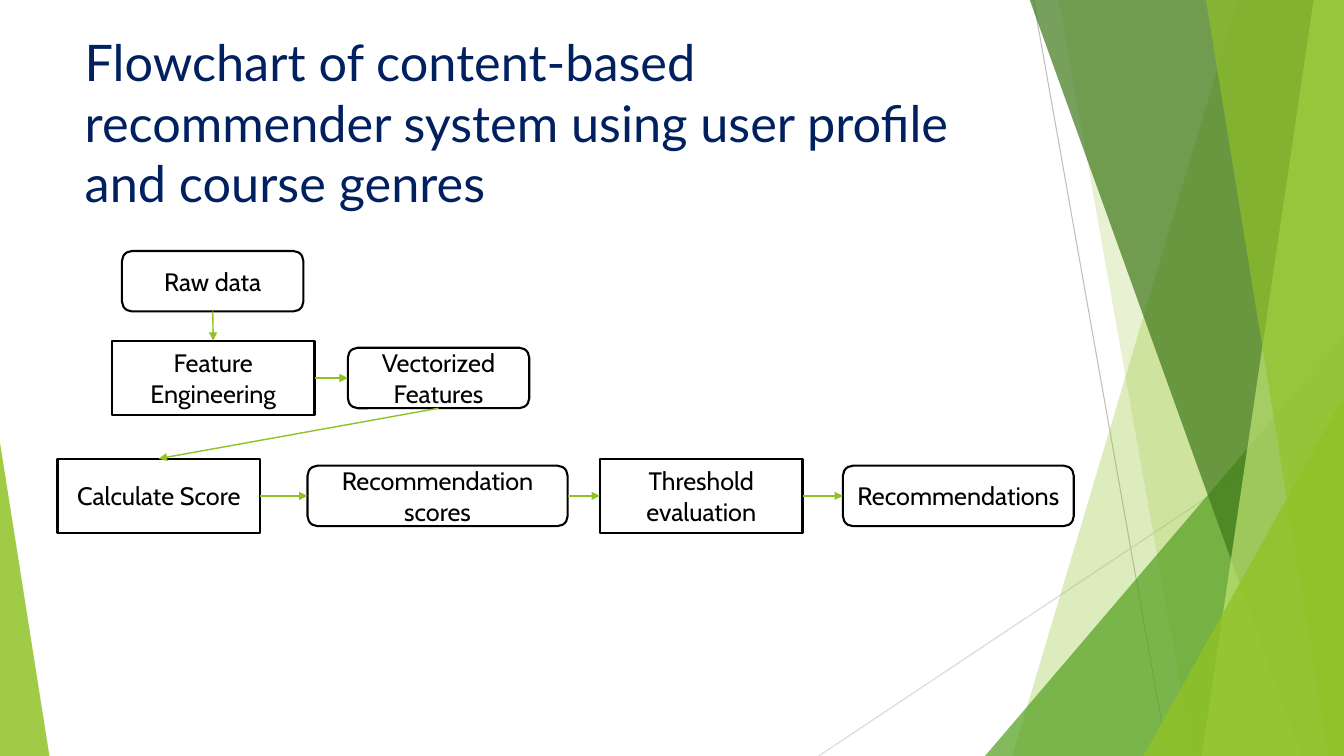
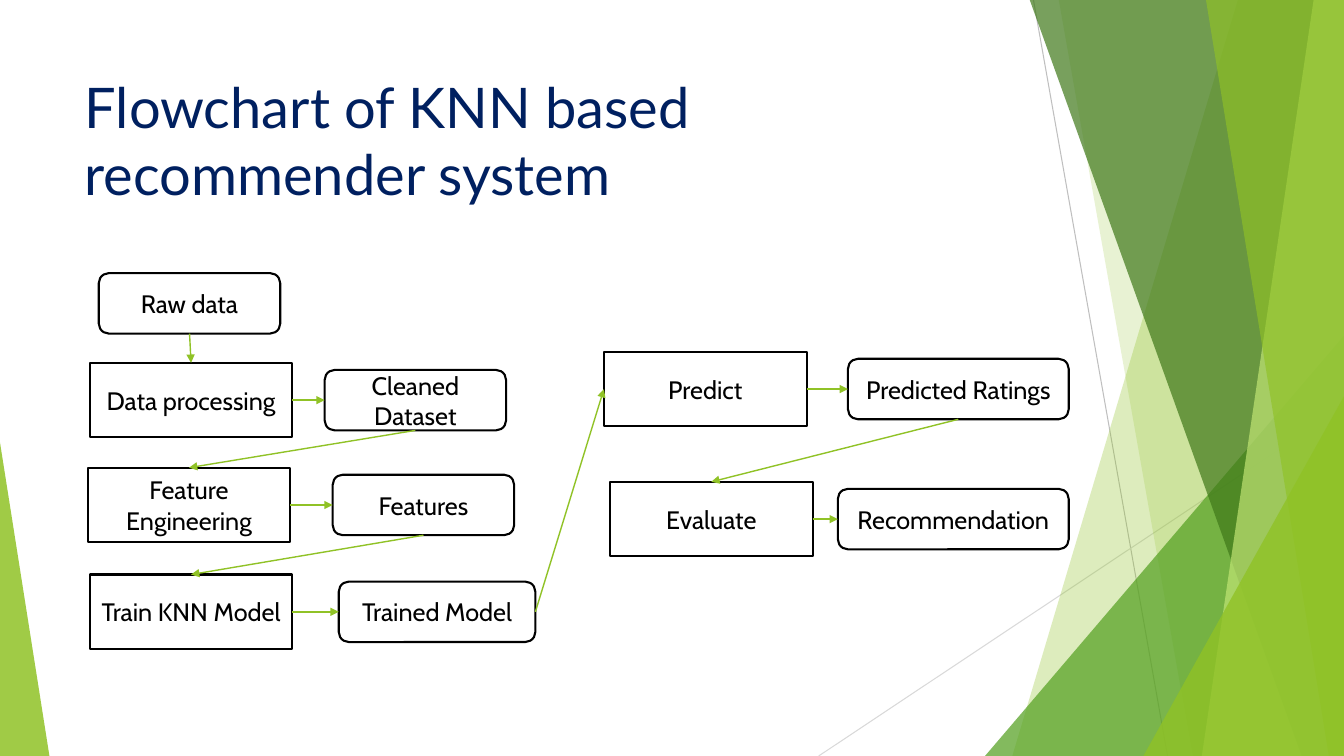
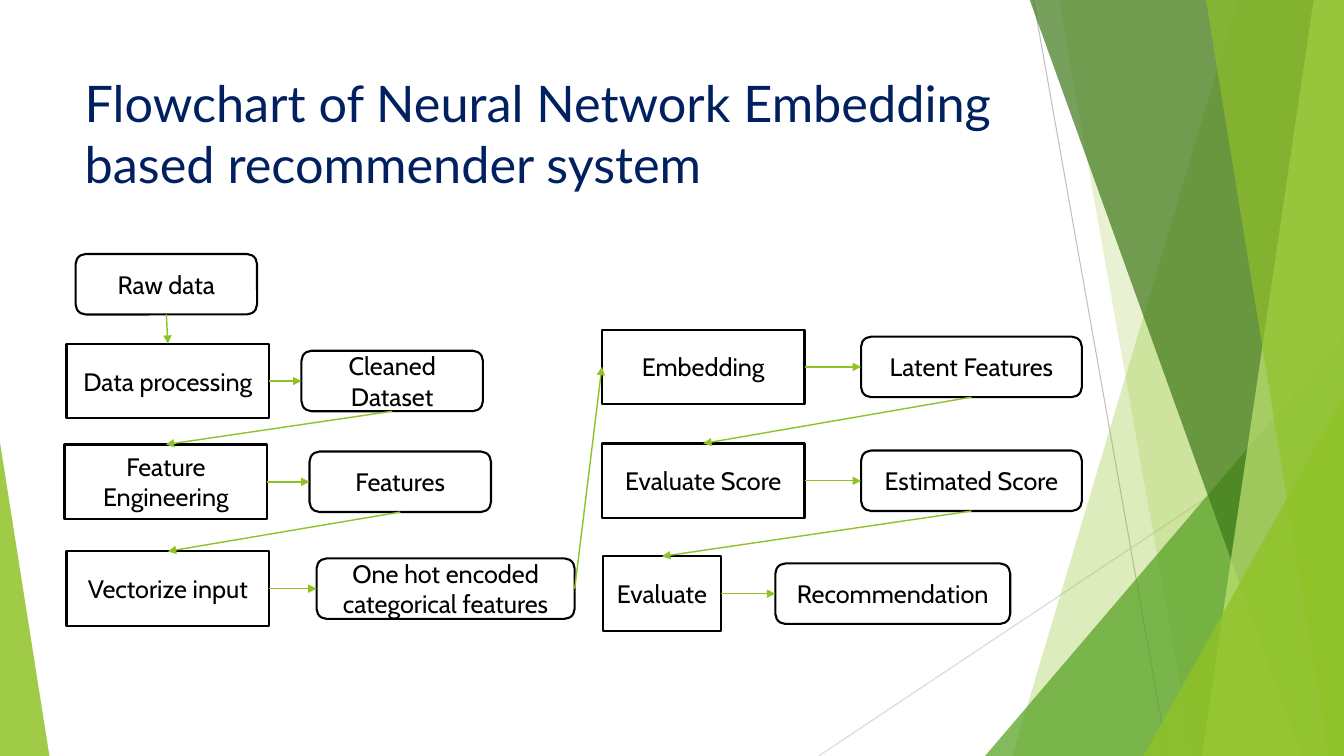
import lxml.etree
import pptx
import pptx.dml.color
import pptx.enum.shapes
import pptx.enum.text
import pptx.oxml.ns
import pptx.util

Inches = pptx.util.Inches
Pt = pptx.util.Pt
qn = pptx.oxml.ns.qn
MSO_SHAPE = pptx.enum.shapes.MSO_SHAPE

COLORS = {
    "title": "002060",
    "ink": "000000",
    "paper": "FFFFFF",
    "lime": "90C226",
    "pale": "C0E474",
    "leaf": "54A021",
    "forest": "3F7819",
    "gray": "BFBFBF",
    "light_gray": "D9D9D9",
}
SLIDE_W, SLIDE_H = 13.33, 7.5
STEP_W, STEP_H = 2.01, 0.74
DATA_W, DATA_H = 1.8, 0.6
TOP, LEFT, BOTTOM, RIGHT = range(4)


def rgb(name):
    """Return the palette colour with this name."""
    return pptx.dml.color.RGBColor.from_string(COLORS[name])


def add_line(slide, start, end, color, width):
    """Draw a straight line without a shadow between two points in inches."""
    line = slide.shapes.add_connector(
        pptx.enum.shapes.MSO_CONNECTOR.STRAIGHT, *map(Inches, start + end))
    line.line.color.rgb = rgb(color)
    line.line.width = Pt(width)
    lxml.etree.SubElement(line.element.spPr, qn("a:effectLst"))
    return line


def tint(sp, color, opacity):
    """Give a shape a see-through fill and no outline."""
    sp.shadow.inherit = False
    sp.line.fill.background()
    sp.fill.solid()
    sp.fill.fore_color.rgb = rgb(color)
    clr = sp.element.spPr.find(".//" + qn("a:srgbClr"))
    lxml.etree.SubElement(clr, qn("a:alpha")).set("val", str(opacity * 1000))


def add_band(slide, top_x, bottom_x, color, opacity):
    """Draw a full-height band from a slanted edge to the right of the slide."""
    points = [(SLIDE_W, -0.01), (SLIDE_W, SLIDE_H), (bottom_x, SLIDE_H)]
    builder = slide.shapes.build_freeform(Inches(top_x), Inches(-0.01))
    builder.add_line_segments([tuple(map(Inches, pt)) for pt in points])
    tint(builder.convert_to_shape(), color, opacity)


def add_wedge(slide, left, width, height, apex, color, opacity):
    """Draw a right triangle that stands on the bottom edge of the slide."""
    sp = slide.shapes.add_shape(
        MSO_SHAPE.ISOSCELES_TRIANGLE, Inches(left), Inches(SLIDE_H - height),
        Inches(width), Inches(height))
    sp.adjustments[0] = apex
    tint(sp, color, opacity)


def build_backdrop(prs, layout):
    """Draw the green facets and move them behind the layout's placeholders."""
    slide = prs.slides[0]
    kept = len(slide.shapes)
    add_line(slide, (10.25, 0), (11.58, SLIDE_H), "gray", 0.75)
    add_line(slide, (SLIDE_W, 4.03), (8.12, SLIDE_H), "light_gray", 0.75)
    add_band(slide, 12.28, 10.04, "lime", 30)
    add_band(slide, 10.5, 11.83, "lime", 20)
    add_wedge(slide, 9.77, 3.56, 4.17, 1, "leaf", 72)
    add_band(slide, 10.21, 12.91, "forest", 70)
    add_band(slide, 13.03, 11.92, "pale", 70)
    add_band(slide, 11.96, 13.18, "lime", 65)
    add_wedge(slide, 11.34, 1.99, 3.57, 1, "lime", 80)
    add_wedge(slide, 0, 0.49, 3.11, 0, "lime", 85)
    for i, sp in enumerate(list(slide.shapes)[kept:]):
        sp.element.xpath("./*/p:cNvPr")[0].set("id", str(100 + i))
        layout.shapes.element.insert(2 + i, sp.element)


def set_title(slide, text, top, size):
    """Place and format the slide title."""
    title = slide.shapes.title
    title.left, title.top = Inches(0.74), Inches(top)
    title.width, title.height = Inches(9.4), Inches(1.44)
    tf = title.text_frame
    tf.text = text
    tf.word_wrap = True
    tf.auto_size = pptx.enum.text.MSO_AUTO_SIZE.NONE
    tf.vertical_anchor = pptx.enum.text.MSO_ANCHOR.TOP
    p = tf.paragraphs[0]
    p.alignment = pptx.enum.text.PP_ALIGN.LEFT
    p.font.name = "Lato"
    p.font.size = Pt(size)
    p.font.color.rgb = rgb("title")


def step(text, left, width=STEP_W):
    """Describe a process step."""
    return MSO_SHAPE.RECTANGLE, text, left, width, STEP_H


def data(text, left, width=DATA_W):
    """Describe a data item."""
    return MSO_SHAPE.ROUNDED_RECTANGLE, text, left, width, DATA_H


def add_node(slide, kind, text, left, middle, width, height):
    """Draw one outlined flowchart node centred on its row."""
    sp = slide.shapes.add_shape(
        kind, Inches(left), Inches(middle - height / 2), Inches(width), Inches(height))
    sp.shadow.inherit = False
    if kind == MSO_SHAPE.RECTANGLE:
        sp.fill.solid()
        sp.fill.fore_color.rgb = rgb("paper")
    else:
        sp.fill.background()
    sp.line.color.rgb = rgb("ink")
    sp.line.width = Pt(1.5)
    tf = sp.text_frame
    tf.text = text
    tf.word_wrap = True
    tf.vertical_anchor = pptx.enum.text.MSO_ANCHOR.MIDDLE
    p = tf.paragraphs[0]
    p.alignment = pptx.enum.text.PP_ALIGN.CENTER
    p.font.name = "Cabin"
    p.font.size = Pt(18)
    p.font.color.rgb = rgb("ink")
    return sp


def add_arrow(slide, source, target):
    """Link two nodes sideways when the target lies to the right, else downwards."""
    sideways = target.left >= source.left + source.width
    line = add_line(slide, (0, 0), (0, 0), "lime", 1)
    line.begin_connect(source, RIGHT if sideways else BOTTOM)
    line.end_connect(target, LEFT if sideways else TOP)
    ln = line.element.spPr.find(qn("a:ln"))
    lxml.etree.SubElement(ln, qn("a:tailEnd")).set("type", "triangle")


def add_flow(slide, left, top, rows):
    """Draw rows of nodes from a corner and link them in reading order."""
    nodes = [
        add_node(slide, kind, text, left + x, top + middle, width, height)
        for middle, items in rows
        for kind, text, x, width, height in items
    ]
    for source, target in zip(nodes, nodes[1:]):
        add_arrow(slide, source, target)


def opening_rows(feature_middle):
    """Return the rows that both model flowcharts begin with."""
    return [
        (0.3, [data("Raw data", 0.11)]),
        (1.26, [step("Data processing", 0.02), data("Cleaned Dataset", 2.35)]),
        (feature_middle, [step("Feature Engineering", 0), data("Features", 2.43)]),
    ]


CONTENT_ROWS = [
    (0.3, [data("Raw data", 0.64)]),
    (1.26, [step("Feature Engineering", 0.54), data("Vectorized Features", 2.88)]),
    (2.43, [step("Calculate Score", 0), data("Recommendation scores", 2.48, 2.58),
            step("Threshold evaluation", 5.38), data("Recommendations", 7.79, 2.29)]),
]
KNN_ROWS = opening_rows(2.3) + [
    (3.36, [step("Train KNN Model", 0.02), data("Trained Model", 2.49, 1.95)]),
    (1.15, [step("Predict", 5.12), data("Predicted Ratings", 7.54, 2.19)]),
    (2.44, [step("Evaluate", 5.18), data("Recommendation", 7.44, 2.29)]),
]
EMBEDDING_ROWS = opening_rows(2.26) + [
    (3.32, [step("Vectorize input", 0.02),
            data("One hot encoded categorical features", 2.5, 2.56)]),
    (1.12, [step("Embedding", 5.33), data("Latent Features", 7.9, 2.19)]),
    (2.25, [step("Evaluate Score", 5.33), data("Estimated Score", 7.9, 2.19)]),
    (3.37, [step("Evaluate", 5.34, 1.17), data("Recommendation", 7.05, 2.33)]),
]
FLOWCHARTS = [
    ("Flowchart of content-based recommender system using user profile and course genres",
     0.26, 36, 0.57, 2.49, CONTENT_ROWS),
    ("Flowchart of KNN based recommender system", 0.67, 40, 0.87, 2.71, KNN_ROWS),
    ("Flowchart of Neural Network Embedding based recommender system",
     0.67, 36, 0.64, 2.52, EMBEDDING_ROWS),
]


def main():
    """Build the deck and save it."""
    prs = pptx.Presentation()
    prs.slide_width, prs.slide_height = Inches(SLIDE_W), Inches(SLIDE_H)
    layout = prs.slide_layouts.get_by_name("Title Only")
    for title, title_top, size, left, top, rows in FLOWCHARTS:
        slide = prs.slides.add_slide(layout)
        set_title(slide, title, title_top, size)
        add_flow(slide, left, top, rows)
    build_backdrop(prs, layout)
    prs.save("out.pptx")


if __name__ == "__main__":
    main()
